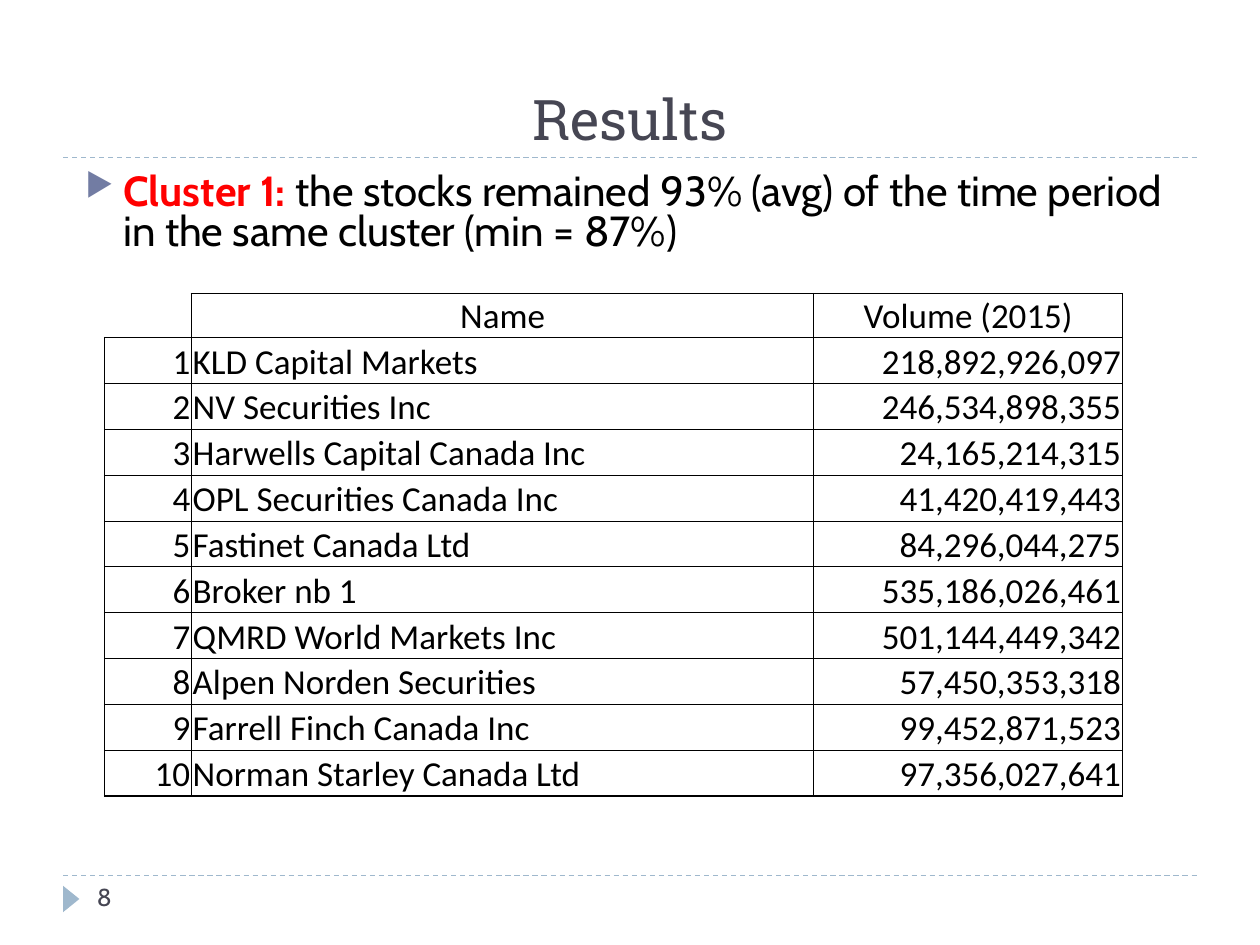
import pptx
import pptx.dml.color
import pptx.enum.dml
import pptx.enum.shapes
import pptx.enum.text
import pptx.oxml
import pptx.oxml.ns
import pptx.util
from pptx.dml.color import RGBColor
from pptx.util import Inches

BLACK = RGBColor(0x00, 0x00, 0x00)
RED = RGBColor(0xFF, 0x00, 0x00)
SLATE = RGBColor(0x46, 0x46, 0x53)
PALE_BLUE = RGBColor(0x9F, 0xB8, 0xCD)
BULLET_BLUE = RGBColor(0x72, 0x7C, 0xA3)

ALIGN = pptx.enum.text.PP_ALIGN
ANCHOR = pptx.enum.text.MSO_ANCHOR

HEADER = ("", "Name", "Volume (2015)")
BROKERS = [
    ("KLD Capital Markets", "218,892,926,097"),
    ("NV Securities Inc", "246,534,898,355"),
    ("Harwells Capital Canada Inc", "24,165,214,315"),
    ("OPL Securities Canada Inc", "41,420,419,443"),
    ("Fastinet Canada Ltd", "84,296,044,275"),
    ("Broker nb 1", "535,186,026,461"),
    ("QMRD World Markets Inc", "501,144,449,342"),
    ("Alpen Norden Securities", "57,450,353,318"),
    ("Farrell Finch Canada Inc", "99,452,871,523"),
    ("Norman Starley Canada Ltd", "97,356,027,641"),
]


def add_run(paragraph, text, font, size, color=BLACK, bold=False):
    run = paragraph.add_run()
    run.text = text
    run.font.name = font
    run.font.size = pptx.util.Pt(size)
    run.font.color.rgb = color
    run.font.bold = bold


def add_xml(parent, tag, content="", **attributes):
    """Append one DrawingML element to parent."""
    listed = "".join(f' {name}="{value}"' for name, value in attributes.items())
    namespace = pptx.oxml.ns.nsdecls("a")
    parent.append(pptx.oxml.parse_xml(f"<a:{tag} {namespace}{listed}>{content}</a:{tag}>"))


def solid(color):
    return f'<a:solidFill><a:srgbClr val="{color}"/></a:solidFill>'


class ResultsSlide:
    heading_font = "Roboto Slab"
    body_font = "Cabin"
    table_font = "Calibri"

    def __init__(self, presentation):
        self.slide = presentation.slides.add_slide(presentation.slide_layouts[6])

    def rule(self, y):
        line = self.slide.shapes.add_connector(
            pptx.enum.shapes.MSO_CONNECTOR.STRAIGHT,
            Inches(0.5), Inches(y), Inches(9.5), Inches(y))
        line.line.color.rgb = PALE_BLUE
        line.line.width = pptx.util.Pt(0.75)
        line.line.dash_style = pptx.enum.dml.MSO_LINE.DASH
        add_xml(line._element.spPr, "effectLst")

    def page_marker(self, left, top, width, height):
        marker = self.slide.shapes.add_shape(
            pptx.enum.shapes.MSO_SHAPE.ISOSCELES_TRIANGLE,
            Inches(left), Inches(top), Inches(width), Inches(height))
        marker.rotation = 90
        marker.shadow.inherit = False
        marker.fill.solid()
        marker.fill.fore_color.rgb = PALE_BLUE
        marker.line.fill.background()

    def text_box(self, left, top, width, height, anchor=ANCHOR.TOP, align=ALIGN.LEFT):
        """Add an empty wrapping text box and return its first paragraph."""
        box = self.slide.shapes.add_textbox(
            Inches(left), Inches(top), Inches(width), Inches(height))
        frame = box.text_frame
        frame.word_wrap = True
        frame.vertical_anchor = anchor
        paragraph = frame.paragraphs[0]
        paragraph.alignment = align
        return paragraph

    def bullet(self, paragraph):
        properties = paragraph._p.get_or_add_pPr()
        properties.set("marL", str(Inches(0.3)))
        properties.set("indent", str(-Inches(0.3)))
        add_xml(properties, "buClr", f'<a:srgbClr val="{BULLET_BLUE}"/>')
        add_xml(properties, "buSzPct", val=76000)
        add_xml(properties, "buChar", char="▶")
        paragraph.line_spacing = 0.8
        paragraph.space_before = pptx.util.Pt(6)

    def cell(self, cell, text, align, borders):
        """Fill one cell; borders maps L, R, T, B to points, 0 for none."""
        cell.margin_left = cell.margin_right = cell.margin_top = Inches(0.01)
        cell.margin_bottom = 0
        cell.vertical_anchor = ANCHOR.BOTTOM
        properties = cell._tc.get_or_add_tcPr()
        for side, points in borders.items():
            paint = solid(BLACK) if points else "<a:noFill/>"
            add_xml(properties, f"ln{side}", paint, w=pptx.util.Pt(points))
        cell.fill.background()
        paragraph = cell.text_frame.paragraphs[0]
        paragraph.alignment = align
        if text:
            add_run(paragraph, text, self.table_font, 20)

    def table(self, left, top, column_widths, header_height, row_height, rows):
        row_count, column_count = len(rows), len(column_widths)
        table = self.slide.shapes.add_table(
            row_count, column_count, Inches(left), Inches(top),
            Inches(sum(column_widths)),
            Inches(header_height + row_height * (row_count - 1))).table
        table.first_row = table.horz_banding = False
        for column, width in zip(table.columns, column_widths):
            column.width = Inches(width)
        body_alignments = (ALIGN.RIGHT, ALIGN.LEFT, ALIGN.RIGHT)

        def row_edge(index):
            return 1 if index in (0, 1, row_count) else 0.5

        def column_edge(index, row):
            thick = index in (0, column_count) or (row == 0 and index == 1)
            return 1 if thick else 0.5

        for r, values in enumerate(rows):
            table.rows[r].height = Inches(row_height if r else header_height)
            for c, value in enumerate(values):
                corner = r == c == 0
                borders = {
                    "L": 0 if corner else column_edge(c, r),
                    "R": column_edge(c + 1, r),
                    "T": 0 if corner else row_edge(r),
                    "B": row_edge(r + 1),
                }
                align = body_alignments[c] if r else ALIGN.CENTER
                self.cell(table.cell(r, c), value, align, borders)


def main():
    presentation = pptx.Presentation()
    presentation.slide_width = Inches(10)
    presentation.slide_height = Inches(7.5)
    results = ResultsSlide(presentation)

    for y in (6.95, 1.25):
        results.rule(y)
    results.page_marker(0.46, 7.07, 0.21, 0.13)

    title = results.text_box(0.5, 0.17, 9, 1.08, ANCHOR.BOTTOM, ALIGN.CENTER)
    add_run(title, "Results", results.heading_font, 32, color=SLATE)

    page_number = results.text_box(0.67, 6.95, 2.17, 0.4)
    add_run(page_number, "8", results.body_font, 14, color=SLATE)

    finding = results.text_box(0.58, 1.33, 8.9, 0.75)
    results.bullet(finding)
    add_run(finding, "Cluster 1: ", results.body_font, 24, color=RED, bold=True)
    add_run(finding, "the stocks remained 93% (avg) of the time period "
            "in the same cluster (min = 87%)", results.body_font, 24)

    rows = [HEADER] + [(str(rank), *broker) for rank, broker in enumerate(BROKERS, 1)]
    results.table(0.83, 2.33, (0.69, 4.94, 2.45), 0.35, 3.64 / len(BROKERS), rows)

    presentation.save("out.pptx")


if __name__ == "__main__":
    main()
